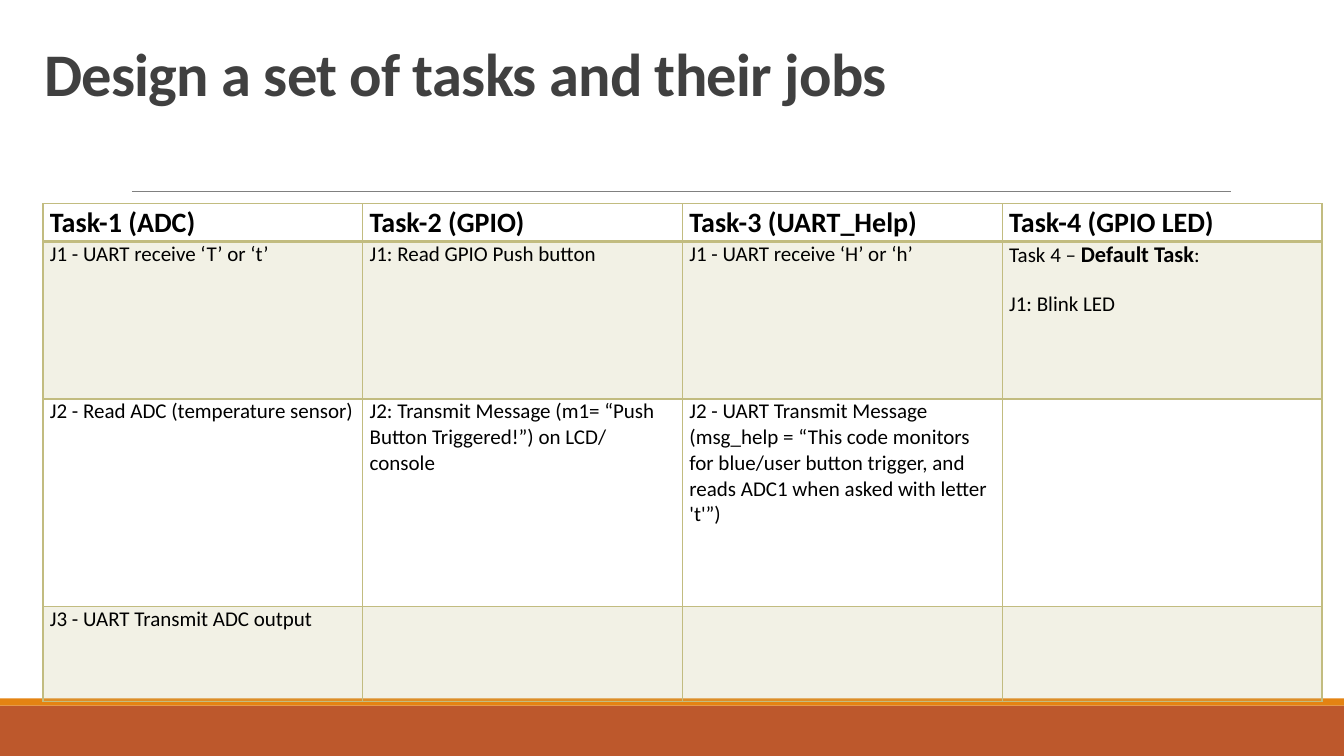
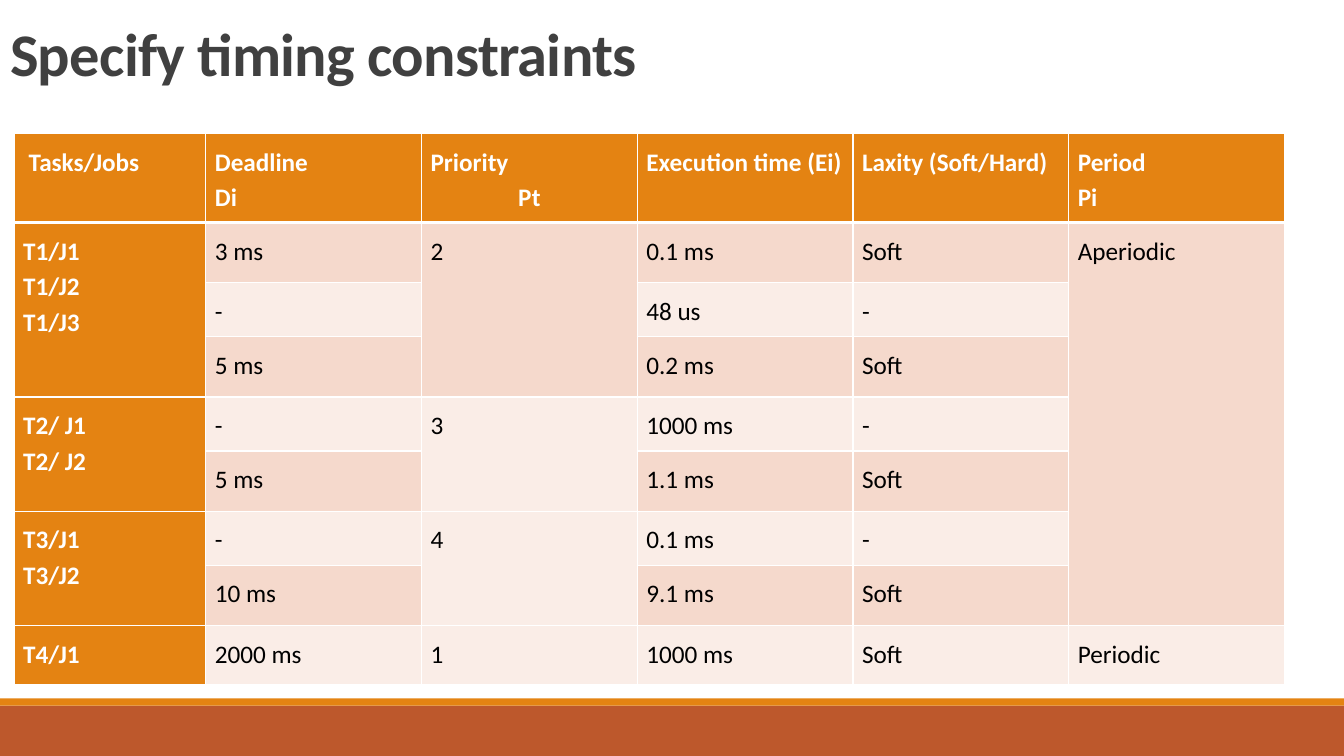
from lxml import etree
from pptx import Presentation
from pptx.dml.color import RGBColor
from pptx.enum.shapes import MSO_CONNECTOR, MSO_SHAPE
from pptx.enum.text import MSO_ANCHOR, MSO_AUTO_SIZE, PP_ALIGN
from pptx.oxml.ns import qn
from pptx.util import Pt

RECTANGLE = MSO_SHAPE.RECTANGLE
STRAIGHT = MSO_CONNECTOR.STRAIGHT
BOTTOM, TOP = MSO_ANCHOR.BOTTOM, MSO_ANCHOR.TOP
LEFT, CENTER = PP_ALIGN.LEFT, PP_ALIGN.CENTER
NO_AUTOFIT = MSO_AUTO_SIZE.NONE

COLORS = {
    "rust": "BD582C", "orange": "E48312", "rule": "808080", "title": "404040",
    "khaki": "C2BC80", "band_dark": "F5D9CC", "band_light": "FAEDE7",
    "white": "FFFFFF", "black": "000000",
}
FONT = "Calibri"
SLIDE_WIDTH, SLIDE_HEIGHT = 960, 540
TITLE_ONLY = 5

JOBS_TITLE = "Design a set of tasks and their jobs"
JOBS = [
    ["Task-1 (ADC)", "Task-2 (GPIO)", "Task-3 (UART_Help)", "Task-4 (GPIO LED)"],
    ["J1 - UART receive ‘T’ or ‘t’", "J1: Read GPIO Push button",
     "J1 - UART receive ‘H’ or ‘h’", "Task 4 – **Default Task**:\nJ1: Blink LED"],
    ["J2 - Read ADC (temperature sensor)",
     "J2: Transmit Message (m1= “Push Button Triggered!”) on LCD/ console",
     "J2 - UART Transmit Message (msg_help = “This code monitors for blue/user "
     "button trigger, and reads ADC1 when asked with letter 't'”)", ""],
    ["J3 - UART Transmit ADC output", "", "", ""],
]
JOBS_COLUMNS = [228.4] * 4
JOBS_ROWS = [27, 112.5, 148, 68]

TIMING_TITLE = "Specify timing constraints"
TIMING = [
    ["Tasks/Jobs", "Deadline\nDi", "Priority\nPt", "Execution time (Ei)",
     "Laxity (Soft/Hard)", "Period\nPi"],
    ["T1/J1\nT1/J2\nT1/J3", "3 ms", "2", "0.1 ms", "Soft", "Aperiodic"],
    [None, "-", None, "48 us", "-", None],
    [None, "5 ms", None, "0.2 ms", "Soft", None],
    ["T2/ J1\nT2/ J2", "-", "3", "1000 ms", "-", None],
    [None, "5 ms", None, "1.1 ms", "Soft", None],
    ["T3/J1\nT3/J2", "-", "4", "0.1 ms", "-", None],
    [None, "10 ms", None, "9.1 ms", "Soft", None],
    ["T4/J1", "2000 ms", "1", "1000 ms", "Soft", "Periodic"],
]
TIMING_COLUMNS = [137] + [154.1] * 5
TIMING_ROWS = [63, 43, 38.6, 43, 38.6, 43, 38.6, 43, 42.5]


def rgb(name):
    return RGBColor.from_string(COLORS[name])


def add_shared_parts(slide):
    parts = []
    for top, height, color in [(504, 36, "rust"), (498.9, 5.1, "orange")]:
        band = slide.shapes.add_shape(
            RECTANGLE, 0, Pt(top), Pt(SLIDE_WIDTH), Pt(height))
        band.shadow.inherit = False
        band.fill.solid()
        band.fill.fore_color.rgb = rgb(color)
        band.line.fill.background()
        parts.append(band)
    rule = slide.shapes.add_connector(STRAIGHT, Pt(94.3), Pt(136.8), Pt(879), Pt(136.8))
    rule.line.color.rgb = rgb("rule")
    rule.line.width = Pt(0.5)
    etree.SubElement(rule.element.spPr, qn("a:effectLst"))
    parts.append(rule)
    layout_tree = slide.slide_layout.shapes.element
    for position, part in enumerate(parts, start=2):
        layout_tree.insert(position, part.element)


def add_title(slide, text, left, top):
    title = slide.shapes.title
    title.left, title.top, title.width, title.height = Pt(left), Pt(top), Pt(828), Pt(104.4)
    frame = title.text_frame
    frame.text = text
    frame.auto_size = NO_AUTOFIT
    frame.vertical_anchor = BOTTOM
    frame.margin_bottom = Pt(53.4)
    paragraph = frame.paragraphs[0]
    paragraph.alignment = LEFT
    paragraph.line_spacing = 0.85
    set_font(paragraph.font, 43.2, "title", True)
    paragraph.runs[0]._r.get_or_add_rPr().set("spc", "-50")


def set_font(font, size, color, bold):
    font.name, font.size, font.bold = FONT, Pt(size), bold
    font.color.rgb = rgb(color)


def add_grid(slide, left, top, columns, rows):
    frame = slide.shapes.add_table(
        len(rows), len(columns), Pt(left), Pt(top), Pt(sum(columns)), Pt(sum(rows)))
    table = frame.table
    table.first_row = table.horz_banding = False
    for column, width in zip(table.columns, columns):
        column.width = Pt(width)
    for row, height in zip(table.rows, rows):
        row.height = Pt(height)
    return table


def set_borders(cell, row, color, header_weight):
    weights = {"L": 1, "R": 1, "T": header_weight if row == 1 else 1,
               "B": header_weight if row == 0 else 1}
    properties = cell._tc.get_or_add_tcPr()
    for side, weight in weights.items():
        border = etree.SubElement(properties, qn(f"a:ln{side}"), w=str(Pt(weight)))
        fill = etree.SubElement(border, qn("a:solidFill"))
        etree.SubElement(fill, qn("a:srgbClr"), val=COLORS[color])


def set_fill(cell, color, alpha=None):
    cell.fill.solid()
    cell.fill.fore_color.rgb = rgb(color)
    if alpha:
        tint = cell._tc.tcPr.find(".//" + qn("a:solidFill") + "[last()]")
        tint = cell._tc.tcPr.find(qn("a:solidFill"))
        etree.SubElement(tint[0], qn("a:alpha"), val=str(alpha * 1000))


def set_text(cell, text, margins, size, color, bold, spacing, after=0):
    cell.margin_left = cell.margin_right = Pt(margins[0])
    cell.margin_top = cell.margin_bottom = Pt(margins[1])
    cell.vertical_anchor = TOP
    frame = cell.text_frame
    for index, line in enumerate(text.split("\n")):
        paragraph = frame.add_paragraph() if index else frame.paragraphs[0]
        paragraph.line_spacing = spacing
        paragraph.space_after = Pt(after)
        set_font(paragraph.font, size, color, bold)
        for part, words in enumerate(line.split("**")):
            if words:
                run = paragraph.add_run()
                run.text = words
                if part % 2:
                    run.font.bold, run.font.size = True, Pt(16)


def fill_jobs(table):
    for row, texts in enumerate(JOBS):
        for column, text in enumerate(texts):
            cell = table.cell(row, column)
            set_borders(cell, row, "khaki", 2)
            if row % 2:
                set_fill(cell, "khaki", 20)
            else:
                cell.fill.background()
            if row == 0:
                set_text(cell, text, (5, 0), 20, "black", True, 1.07, 8)
            else:
                set_text(cell, text, (5, 0), 15, "black", False, 1.0, 16)


def fill_timing(table):
    for row, texts in enumerate(TIMING):
        for column, text in enumerate(texts):
            cell = table.cell(row, column)
            heading = row == 0 or column == 0
            set_borders(cell, row, "white", 3)
            band = "band_dark" if row % 2 else "band_light"
            set_fill(cell, "orange" if heading else band)
            if text is None:
                continue
            set_text(cell, text, (6.5, 6.5), 18, "white" if heading else "black",
                     heading, 1.15)
            last = row
            while last + 1 < len(TIMING) and TIMING[last + 1][column] is None:
                last += 1
            if last > row:
                cell.merge(table.cell(last, column))
    table.cell(0, 0).margin_left = Pt(10.5)
    table.cell(0, 2).text_frame.paragraphs[1].alignment = CENTER


def main():
    deck = Presentation()
    deck.slide_width, deck.slide_height = Pt(SLIDE_WIDTH), Pt(SLIDE_HEIGHT)
    layout = deck.slide_layouts[TITLE_ONLY]

    jobs_slide = deck.slides.add_slide(layout)
    add_shared_parts(jobs_slide)
    add_title(jobs_slide, JOBS_TITLE, 24.5, 26.6)
    fill_jobs(add_grid(jobs_slide, 30.7, 145.5, JOBS_COLUMNS, JOBS_ROWS))

    timing_slide = deck.slides.add_slide(layout)
    add_title(timing_slide, TIMING_TITLE, 0, 12.2)
    fill_timing(add_grid(timing_slide, 10, 95.5, TIMING_COLUMNS, TIMING_ROWS))

    deck.save("out.pptx")


if __name__ == "__main__":
    main()
